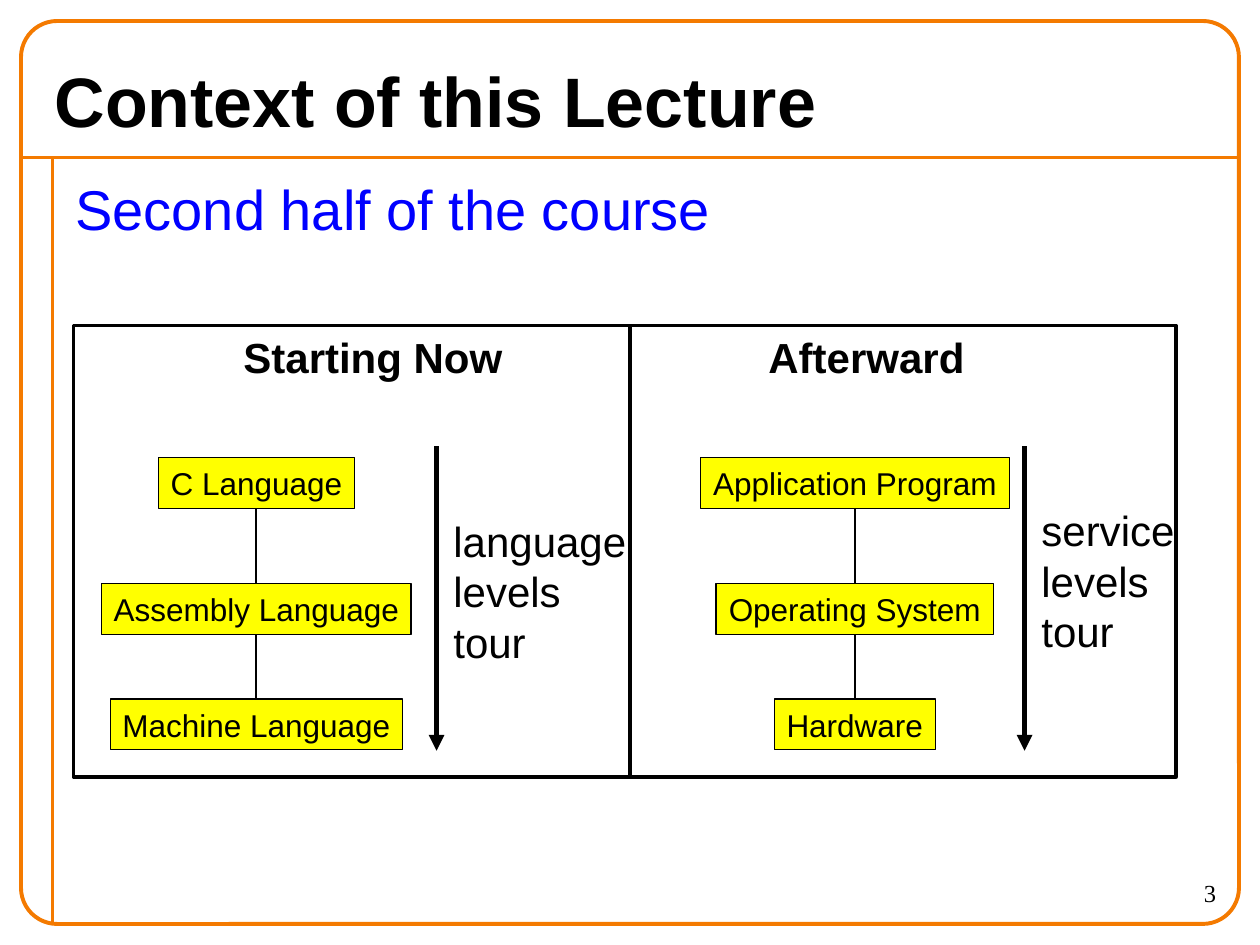
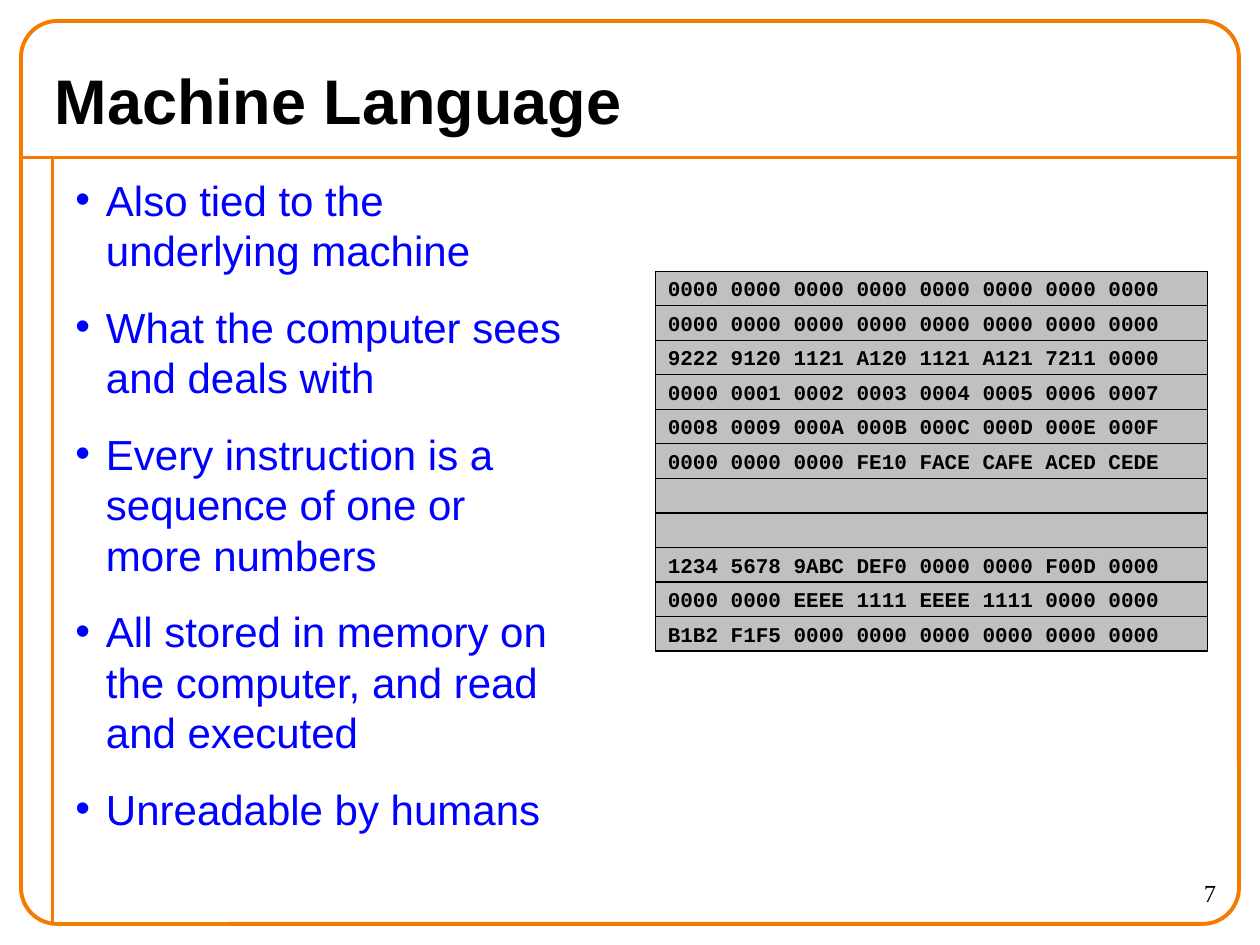
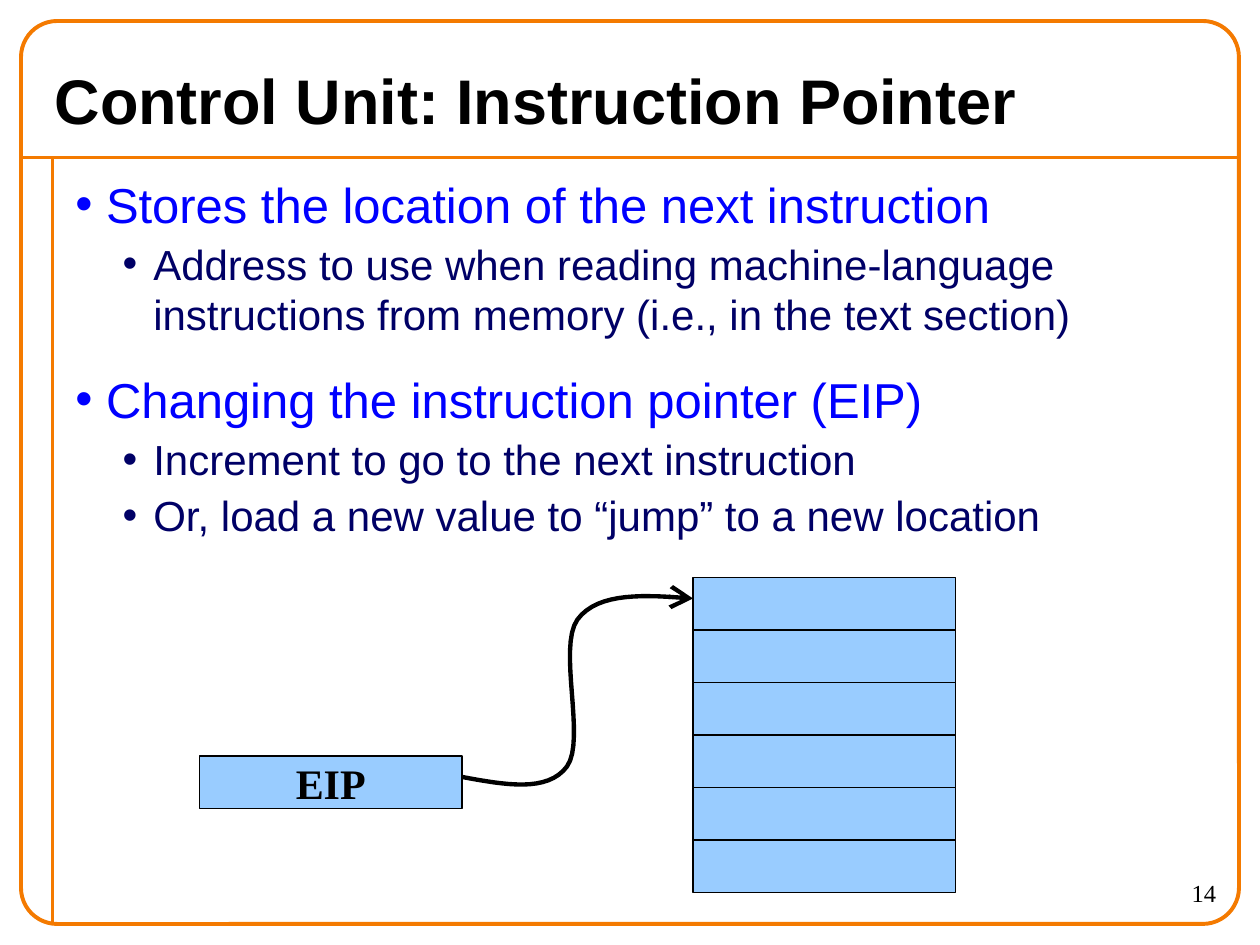
from pptx import Presentation
from pptx.dml.color import RGBColor
from pptx.enum.shapes import MSO_CONNECTOR, MSO_SHAPE
from pptx.enum.text import MSO_ANCHOR, MSO_AUTO_SIZE, PP_ALIGN
from pptx.oxml.ns import qn
from pptx.util import Pt
from lxml import etree

BLACK = RGBColor(0x00, 0x00, 0x00)
ORANGE = RGBColor(0xF4, 0x7A, 0x00)
BLUE = RGBColor(0x00, 0x00, 0xFF)
NAVY = RGBColor(0x00, 0x00, 0x66)
YELLOW = RGBColor(0xFF, 0xFF, 0x00)
GREY = RGBColor(0xC0, 0xC0, 0xC0)
SKY = RGBColor(0x99, 0xCC, 0xFF)

SANS, SERIF, MONO = "Arial", "Times New Roman", "Courier New"
LEFT, CENTER, RIGHT = PP_ALIGN.LEFT, PP_ALIGN.CENTER, PP_ALIGN.RIGHT
TOP, MIDDLE = MSO_ANCHOR.TOP, MSO_ANCHOR.MIDDLE
STRAIGHT = MSO_CONNECTOR.STRAIGHT
RECTANGLE, ROUNDED = MSO_SHAPE.RECTANGLE, MSO_SHAPE.ROUNDED_RECTANGLE

BULLET_HANG = 17.5
LEVEL_INDENTS = (17.5, 44.5)
LEVEL_COLOURS = (BLUE, NAVY)

MEMORY_ROWS = [
    "0000 0000 0000 0000 0000 0000 0000 0000",
    "0000 0000 0000 0000 0000 0000 0000 0000",
    "9222 9120 1121 A120 1121 A121 7211 0000",
    "0000 0001 0002 0003 0004 0005 0006 0007",
    "0008 0009 000A 000B 000C 000D 000E 000F",
    "0000 0000 0000 FE10 FACE CAFE ACED CEDE",
    "",
    "",
    "1234 5678 9ABC DEF0 0000 0000 F00D 0000",
    "0000 0000 EEEE 1111 EEEE 1111 0000 0000",
    "B1B2 F1F5 0000 0000 0000 0000 0000 0000",
]


def set_font(paragraph, size, name=SANS, colour=BLACK, bold=False):
    font = paragraph.font
    font.size, font.name, font.bold = Pt(size), name, bold
    font.color.rgb = colour


def write(shape, text, size, name=SANS, bold=False, align=LEFT, anchor=TOP,
          wrap=False):
    """Fill a shape with text, one paragraph per line."""
    frame = shape.text_frame
    frame.word_wrap = wrap
    frame.vertical_anchor = anchor
    frame.text = text
    for paragraph in frame.paragraphs:
        paragraph.alignment = align
        set_font(paragraph, size, name, bold=bold)


def add_label(slide, left, top, width, height, text, size, **style):
    box = slide.shapes.add_textbox(Pt(left), Pt(top), Pt(width), Pt(height))
    write(box, text, size, wrap=True, **style)


def add_box(slide, left, top, width, height, fill=None, line=BLACK,
            line_width=0.75, kind=RECTANGLE):
    box = slide.shapes.add_shape(kind, Pt(left), Pt(top), Pt(width), Pt(height))
    box.shadow.inherit = False
    if fill is None:
        box.fill.background()
    else:
        box.fill.solid()
        box.fill.fore_color.rgb = fill
    box.line.color.rgb = line
    box.line.width = Pt(line_width)
    return box


def add_arrowhead(shape, kind, size="med"):
    etree.SubElement(shape.line._get_or_add_ln(), qn("a:tailEnd"), type=kind,
                     w=size, len=size)


def add_line(slide, x1, y1, x2, y2, width, colour=BLACK):
    line = slide.shapes.add_connector(STRAIGHT, Pt(x1), Pt(y1), Pt(x2), Pt(y2))
    line.line.color.rgb = colour
    line.line.width = Pt(width)
    etree.SubElement(line._element.spPr, qn("a:effectLst"))
    return line


def add_bullet(paragraph, level):
    properties = paragraph._p.get_or_add_pPr()
    properties.set("marL", str(Pt(LEVEL_INDENTS[level])))
    properties.set("indent", str(-Pt(BULLET_HANG)))
    etree.SubElement(properties, qn("a:buFont"), typeface=SANS)
    etree.SubElement(properties, qn("a:buChar"), char="•")


def add_body(slide, width, height, items, sizes, gaps, bulleted=True):
    """Add (level, text) items; sizes and gaps are given per level."""
    box = slide.shapes.add_textbox(Pt(36), Pt(96), Pt(width), Pt(height))
    frame = box.text_frame
    frame.word_wrap = True
    for index, (level, text) in enumerate(items):
        paragraph = frame.paragraphs[0] if index == 0 else frame.add_paragraph()
        paragraph.text = text
        paragraph.level = level
        if index:
            paragraph.space_before = Pt(gaps[level])
        if bulleted:
            add_bullet(paragraph, level)
        set_font(paragraph, sizes[level], colour=LEVEL_COLOURS[level])


def add_slide(deck, title, number, title_size=36):
    """Add a slide with the shared frame, title and page number."""
    slide = deck.slides.add_slide(deck.slide_layouts[5])
    add_line(slide, 12, 90, 708, 90, 2.25, ORANGE)
    add_line(slide, 30, 90, 30, 528, 2.25, ORANGE)
    frame = add_box(slide, 12, 12, 696, 516, line=ORANGE, line_width=2.25,
                    kind=ROUNDED)
    frame.adjustments[0] = 0.04
    add_label(slide, 630, 498, 72, 30, str(number), 14, name=SERIF, align=RIGHT)

    heading = slide.shapes.title
    heading.left, heading.top = Pt(24), Pt(30)
    heading.width, heading.height = Pt(672), Pt(54)
    heading.text_frame.text = title
    heading.text_frame.auto_size = MSO_AUTO_SIZE.NONE
    heading.text_frame.vertical_anchor = MIDDLE
    paragraph = heading.text_frame.paragraphs[0]
    paragraph.alignment = LEFT
    set_font(paragraph, title_size, bold=True)
    return slide


def add_level_stack(slide, center, levels):
    """Stack (name, width) boxes around a centre line, joined by lines."""
    height = 29
    tops = (261.5, 333.5, 399.5)
    for (name, width), top in zip(levels, tops):
        box = add_box(slide, center - width / 2, top, width, height, YELLOW)
        write(box, name, 18, align=CENTER, anchor=MIDDLE)
    for upper, lower in zip(tops, tops[1:]):
        add_line(slide, center, upper + height, center, lower, 1)


def add_tour_arrow(slide, x):
    add_arrowhead(add_line(slide, x, 255, x, 429, 3), "triangle")


def build_context(deck):
    slide = add_slide(deck, "Context of this Lecture", 3, title_size=40)
    add_body(slide, 666, 432, [(0, "Second half of the course")], (32,), (0,),
             bulleted=False)
    add_label(slide, 132, 186, 168, 36, "Starting Now", 24, bold=True)
    add_label(slide, 432, 186, 132, 36, "Afterward", 24, bold=True)
    add_level_stack(slide, 146.5, [("C Language", 112),
                                   ("Assembly Language", 177),
                                   ("Machine Language", 167)])
    add_level_stack(slide, 488.5, [("Application Program", 176.5),
                                   ("Operating System", 158.5),
                                   ("Hardware", 92)])
    add_tour_arrow(slide, 249.5)
    add_label(slide, 252, 291, 118, 93.6, "language\nlevels\ntour", 24)
    add_tour_arrow(slide, 585.5)
    add_label(slide, 588, 285, 96, 93.6, "service\nlevels\ntour", 24)
    add_box(slide, 42, 186, 630, 258, line_width=2)
    add_line(slide, 360, 186, 360, 444, 2)


def build_machine_language(deck):
    slide = add_slide(deck, "Machine Language", 7)
    add_body(slide, 294, 432, [
        (0, "Also tied to the underlying machine"),
        (0, "What the computer sees and deals with"),
        (0, "Every instruction is a sequence of one or more numbers"),
        (0, "All stored in memory on the computer, and read and executed"),
        (0, "Unreadable by humans"),
    ], (24,), (15,))
    row_height = 19.73
    for index, words in enumerate(MEMORY_ROWS):
        row = add_box(slide, 374.5, 155 + index * row_height, 315.5, row_height,
                      GREY)
        if words:
            write(row, words, 12, name=MONO, bold=True, anchor=MIDDLE)


def curve_points(start, segments, steps=16):
    """Yield points along joined cubic Bezier segments."""
    for first, second, end in segments:
        for step in range(1, steps + 1):
            t = step / steps
            weights = ((1 - t) ** 3, 3 * t * (1 - t) ** 2,
                       3 * t ** 2 * (1 - t), t ** 3)
            corners = (start, first, second, end)
            yield tuple(Pt(sum(weight * corner[axis] for weight, corner
                               in zip(weights, corners))) for axis in (0, 1))
        start = end


def add_pointer_curve(slide):
    start = (264, 444)
    segments = [((288.5, 448.5), (313, 453), (324, 438)),
                ((335, 423), (318.5, 370), (330, 354)),
                ((342, 338), (369, 340), (396, 342))]
    builder = slide.shapes.build_freeform(Pt(start[0]), Pt(start[1]))
    builder.add_line_segments(list(curve_points(start, segments)), close=False)
    curve = builder.convert_to_shape()
    curve.shadow.inherit = False
    curve.fill.background()
    curve.line.color.rgb = BLACK
    curve.line.width = Pt(2.5)
    add_arrowhead(curve, "arrow", "lg")


def build_instruction_pointer(deck):
    slide = add_slide(deck, "Control Unit: Instruction Pointer", 14)
    add_body(slide, 666, 222, [
        (0, "Stores the location of the next instruction"),
        (1, "Address to use when reading machine-language instructions "
            "from memory (i.e., in the text section)"),
        (0, "Changing the instruction pointer (EIP)"),
        (1, "Increment to go to the next instruction"),
        (1, "Or, load a new value to “jump” to a new location"),
    ], (28, 24), (17.5, 3))
    cell_width, cell_height = 150, 30
    for index in range(6):
        add_box(slide, 396, 330 + index * cell_height, cell_width, cell_height,
                SKY)
    register = add_box(slide, 114, 432, cell_width, cell_height, SKY)
    write(register, "EIP", 24, name=SERIF, bold=True, align=CENTER,
          anchor=MIDDLE)
    add_pointer_curve(slide)


def main():
    deck = Presentation()
    deck.slide_width, deck.slide_height = Pt(720), Pt(540)
    build_context(deck)
    build_machine_language(deck)
    build_instruction_pointer(deck)
    deck.save("out.pptx")


if __name__ == "__main__":
    main()
